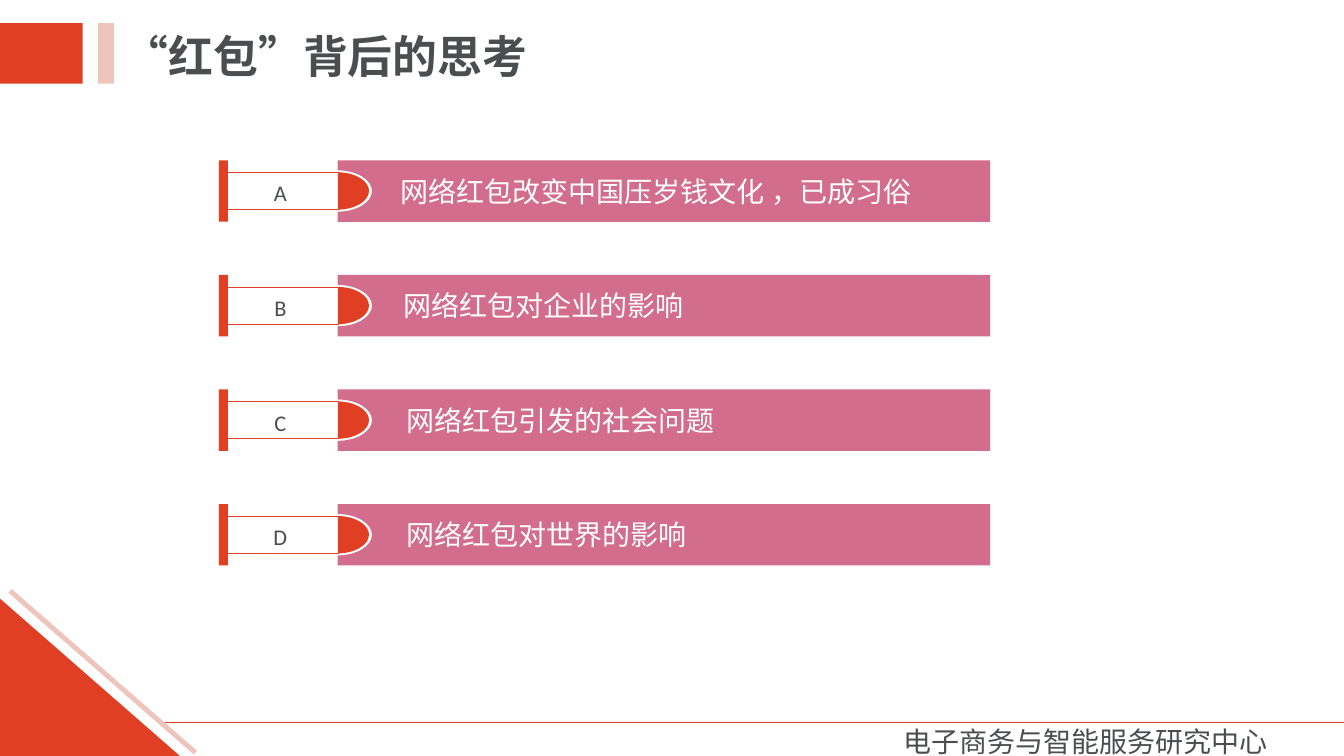
from lxml.etree import SubElement
from pptx import Presentation
from pptx.dml.color import RGBColor
from pptx.enum.shapes import MSO_CONNECTOR, MSO_SHAPE
from pptx.enum.text import MSO_ANCHOR, MSO_AUTO_SIZE, PP_ALIGN
from pptx.oxml.ns import qn
from pptx.util import Inches, Pt

RED = RGBColor(0xE0, 0x3F, 0x24)
BLUSH = RGBColor(0xEE, 0xC5, 0xBD)
ROSE = RGBColor(0xD3, 0x6D, 0x8D)
GREY = RGBColor(0x4B, 0x4D, 0x4F)
WHITE = RGBColor(0xFF, 0xFF, 0xFF)
HAN = "Noto Sans CJK SC"

# Label, text, left indent of the text
ROWS = [
    ("A", "网络红包改变中国压岁钱文化 ，已成习俗", 0.62),
    ("B", "网络红包对企业的影响", 0.65),
    ("C", "网络红包引发的社会问题", 0.68),
    ("D", "网络红包对世界的影响", 0.68),
]
TOP, LAST = 1.59, 5.0
STEP = (LAST - TOP) / (len(ROWS) - 1)
LEFT, RIGHT, HIGH = 3.35, 9.82, 0.61
BEND = 0.55  # control point distance for a quarter of an oval


def paint(shape, color):
    shape.shadow.inherit = False
    shape.fill.solid()
    shape.fill.fore_color.rgb = color
    shape.line.fill.background()


def add_block(shapes, kind, box, color):
    shape = shapes.add_shape(kind, *map(Inches, box))
    paint(shape, color)
    return shape


def add_rule(shapes, start, end, y):
    """Draw a thin red horizontal line."""
    rule = shapes.add_connector(
        MSO_CONNECTOR.STRAIGHT, Inches(start), Inches(y), Inches(end), Inches(y))
    rule.line.color.rgb = RED
    rule.line.width = Pt(0.5)
    SubElement(rule._element.spPr, qn("a:effectLst"))


def write(frame, text, size, color, face, bold=False):
    """Fill the frame with one paragraph and return it."""
    para = frame.paragraphs[0]
    para.text = text
    font = para.font
    font.size, font.bold, font.name = Pt(size), bold, face
    font.color.rgb = color
    SubElement(font._element, qn("a:ea")).set("typeface", HAN)
    return para


def add_text(shapes, box, text, size, face, wrap=True, bold=False):
    frame = shapes.add_textbox(*map(Inches, box)).text_frame
    frame.word_wrap = wrap
    write(frame, text, size, GREY, face, bold)
    return frame


def half_oval(start, end, wide):
    """Bezier points of the right half of an oval, after its start."""
    mid, tall = (start + end) / 2, (end - start) / 2
    side, tip = LEFT + wide * BEND, LEFT + wide
    return [(side, start), (tip, mid - tall * BEND), (tip, mid),
            (tip, mid + tall * BEND), (side, end), (LEFT, end)]


def add_outline(shapes, points, color):
    """Draw a closed outline whose last six points form two curves."""
    first, *rest = [(Inches(x), Inches(y)) for x, y in points]
    pen = shapes.build_freeform(*first)
    pen.add_line_segments(rest)
    shape = pen.convert_to_shape()
    lines = list(shape._element.iter(qn("a:lnTo")))[-6:]
    for trio in (lines[:3], lines[3:]):
        curve = trio[0]
        curve.addprevious(bend := curve.makeelement(qn("a:cubicBezTo")))
        for line in trio:
            bend.append(line[0])
            line.getparent().remove(line)
    paint(shape, color)
    return shape


def add_row(slide, top, label, text, indent):
    shapes = slide.shapes.add_group_shape().shapes
    base = top + HIGH
    corners = [(LEFT, top), (RIGHT, top), (RIGHT, base), (LEFT, base)]
    low, high = top + 0.51, top + 0.1
    notch = [(LEFT, low)] + half_oval(low, high, 0.34)
    frame = add_outline(shapes, corners + notch, ROSE).text_frame
    frame.word_wrap = True
    frame.vertical_anchor = MSO_ANCHOR.MIDDLE
    frame.margin_left = Inches(indent)
    frame.margin_top = frame.margin_right = frame.margin_bottom = 0
    write(frame, text, 20, WHITE, "Calibri").alignment = PP_ALIGN.LEFT

    upper, lower = top + 0.12, top + 0.49
    cap = [(LEFT, upper)] + half_oval(upper, lower, 0.31)
    add_outline(shapes, cap, RED)
    for y in (upper, lower):
        add_rule(shapes, 2.19, 3.36, y)
    add_block(shapes, MSO_SHAPE.RECTANGLE, (2.17, top, 0.09, HIGH), RED)
    tag = add_text(shapes, (2.37, top + 0.06, 0.82, 0.53), label, 16, "Calibri")
    tag.vertical_anchor = MSO_ANCHOR.MIDDLE
    tag.paragraphs[0].alignment = PP_ALIGN.CENTER


def add_frame(shapes):
    """Draw the header, the corner and the footer."""
    add_block(shapes, MSO_SHAPE.RECTANGLE, (-0.01, 0.23, 0.83, 0.6), RED)
    add_block(shapes, MSO_SHAPE.RECTANGLE, (0.97, 0.23, 0.16, 0.6), BLUSH)
    title = add_text(shapes, (1.13, 0.24, 4.87, 0.64), "“红包”背后的思考",
                     32, HAN, bold=True)
    corner = add_block(shapes, MSO_SHAPE.ISOSCELES_TRIANGLE,
                       (-0.01, 5.93, 1.84, 1.61), RED)
    corner.adjustments[0] = 0
    add_rule(shapes, 1.64, 13.33, 7.17)
    stripe = add_block(shapes, MSO_SHAPE.RECTANGLE, (-0.2, 6.64, 2.44, 0.05), BLUSH)
    stripe.rotation = 41.1
    foot = add_text(shapes, (8.86, 7.14, 3.85, 0.44), "电子商务与智能服务研究中心",
                    20, HAN, wrap=False)
    for frame in (title, foot):
        frame.auto_size = MSO_AUTO_SIZE.SHAPE_TO_FIT_TEXT


def main():
    deck = Presentation()
    deck.slide_width, deck.slide_height = Inches(13.33), Inches(7.5)
    slide = deck.slides.add_slide(deck.slide_layouts[6])
    add_frame(slide.shapes)
    for i, row in enumerate(ROWS):
        add_row(slide, TOP + i * STEP, *row)
    deck.save("out.pptx")


if __name__ == "__main__":
    main()
